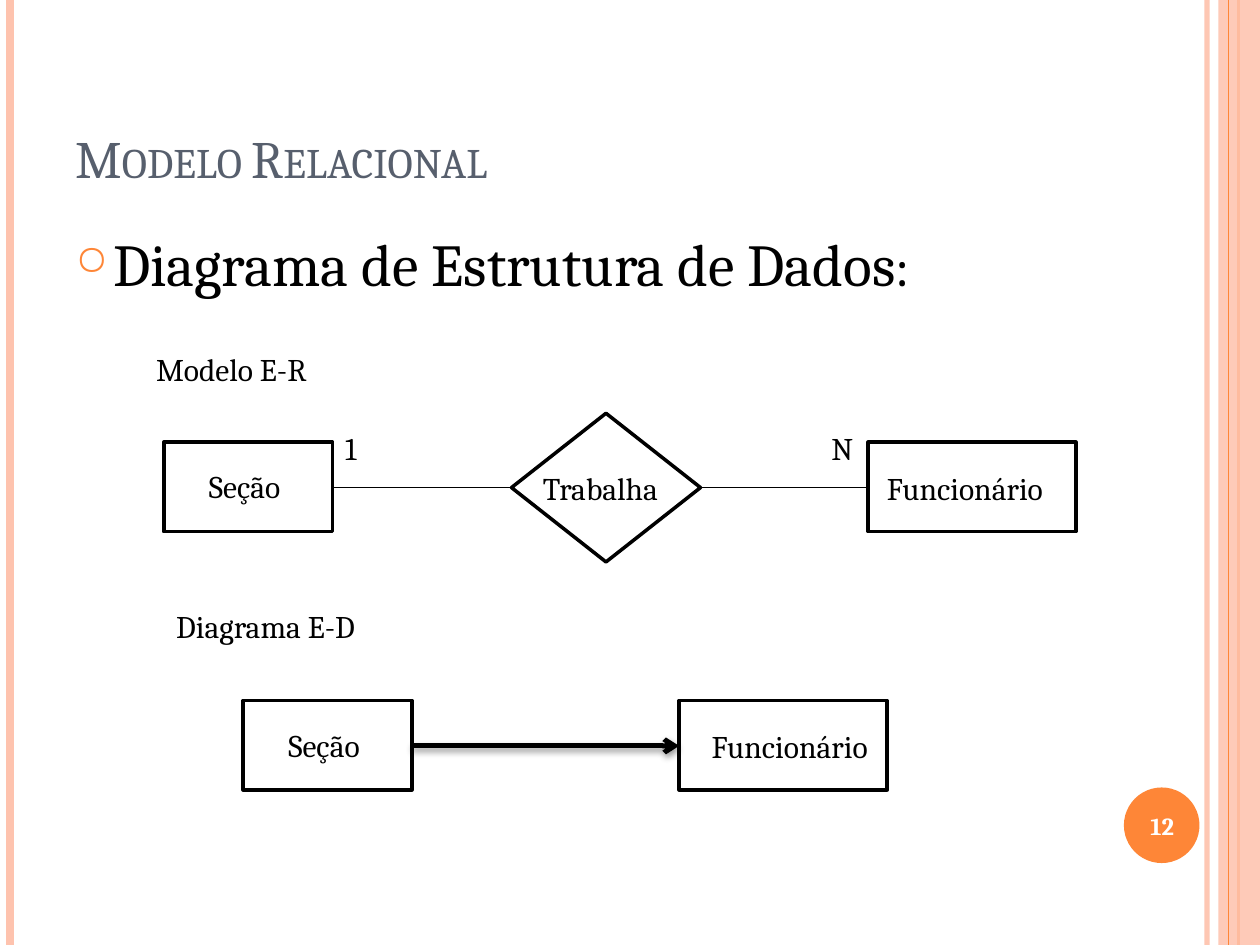
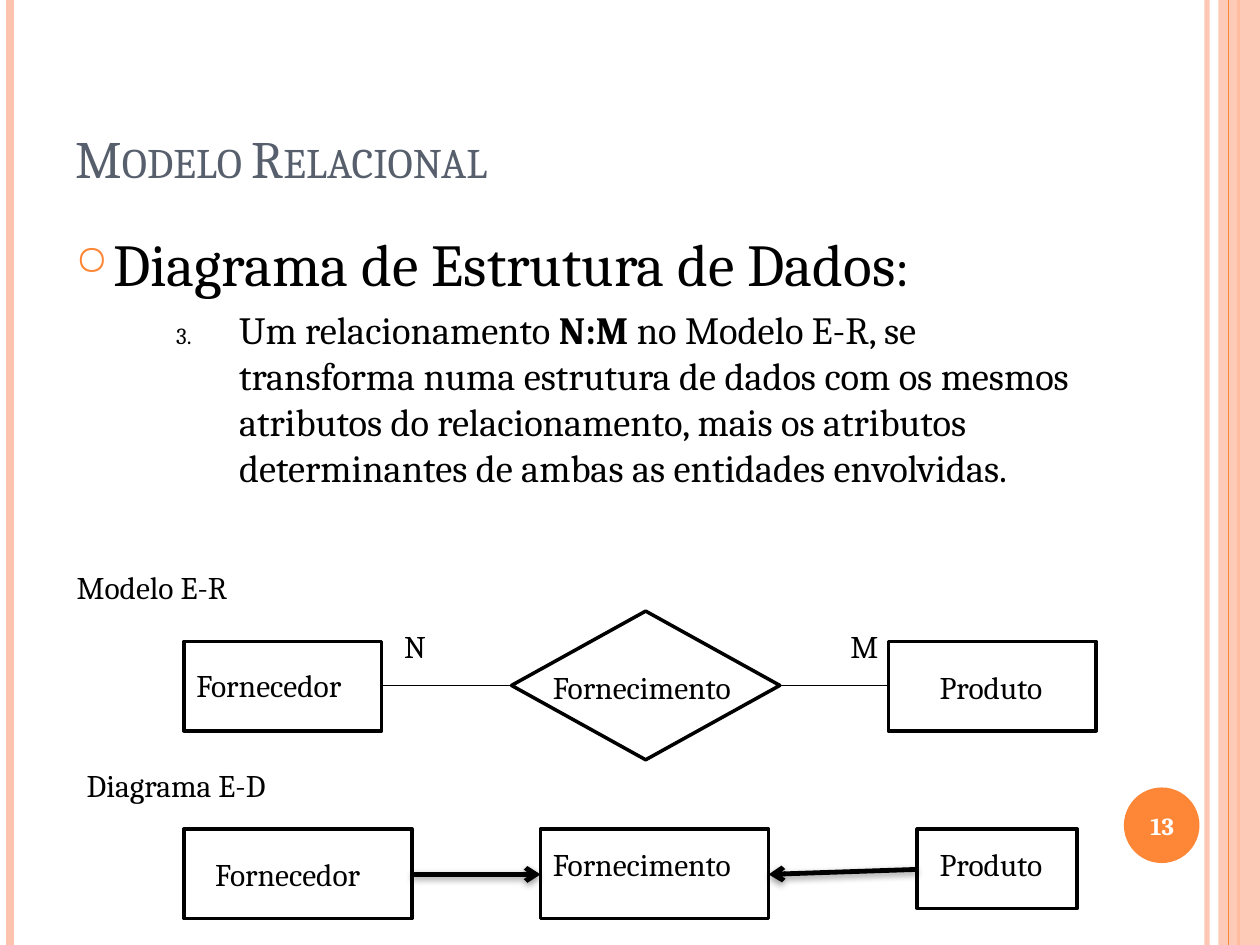
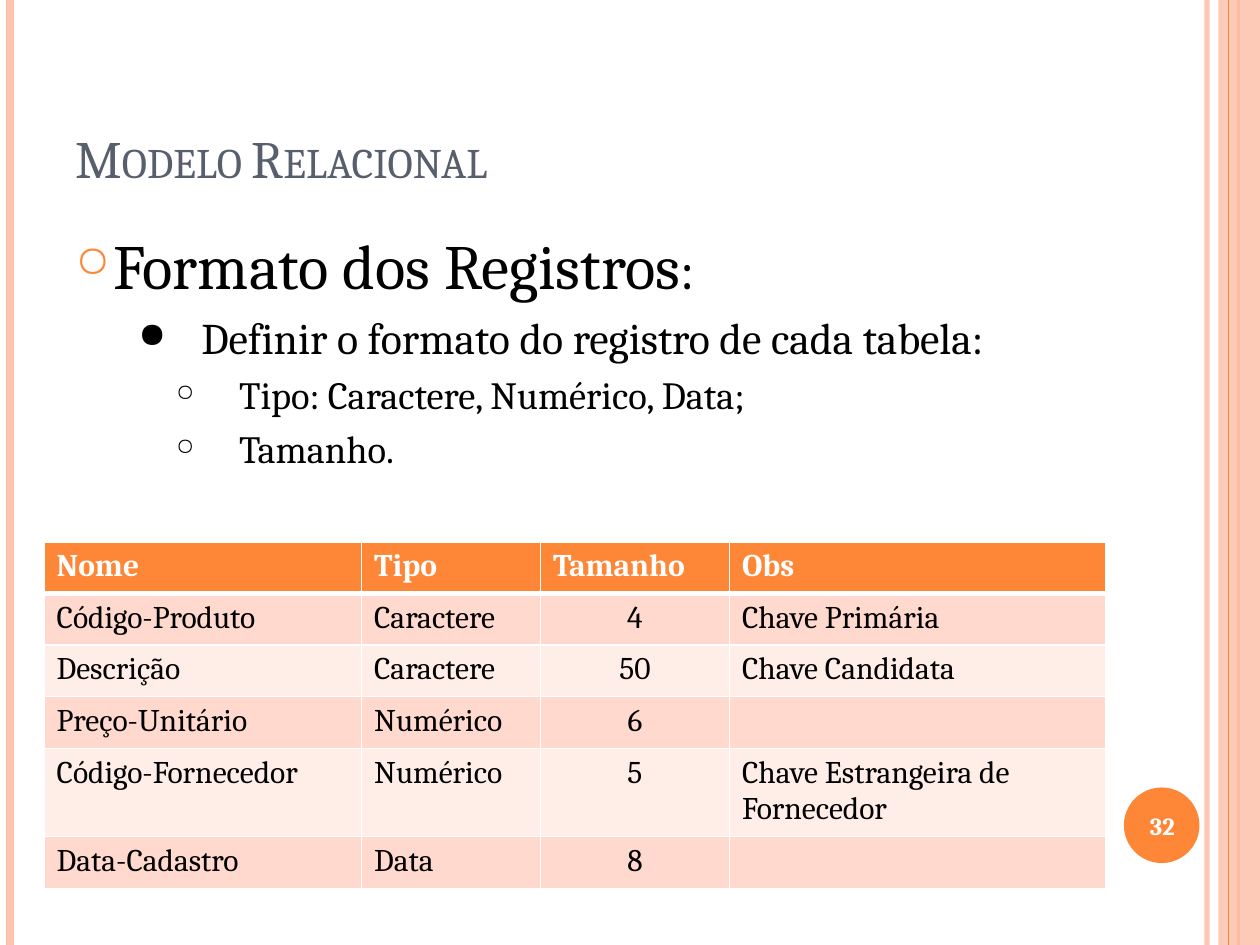
from lxml import etree
from pptx import Presentation
from pptx.dml.color import RGBColor
from pptx.enum.shapes import MSO_CONNECTOR, MSO_SHAPE
from pptx.enum.text import MSO_ANCHOR, MSO_AUTO_SIZE, PP_ALIGN
from pptx.oxml import parse_xml
from pptx.oxml.ns import nsdecls, qn
from pptx.util import Inches, Pt

RECT, DIAMOND, OVAL = MSO_SHAPE.RECTANGLE, MSO_SHAPE.DIAMOND, MSO_SHAPE.OVAL
STRAIGHT = MSO_CONNECTOR.STRAIGHT
CENTER, MIDDLE, BOTTOM = PP_ALIGN.CENTER, MSO_ANCHOR.MIDDLE, MSO_ANCHOR.BOTTOM
GROW = MSO_AUTO_SIZE.SHAPE_TO_FIT_TEXT

FONT = "Cambria"
COLORS = {
    "orange": "FE8637", "peach": "FEC3AE", "slate": "575F6D",
    "black": "000000", "white": "FFFFFF", "band_dark": "FFD9CE", "band_light": "FFEDE8",
}
SHADOW = (f'<a:effectLst {nsdecls("a")}><a:outerShdw blurRad="50800" dist="20320" '
          'dir="5400000" rotWithShape="0"><a:srgbClr val="000000"><a:alpha val="42000"/>'
          '</a:srgbClr></a:outerShdw></a:effectLst>')


def add_text(p, text, size=18, color="black", bold=False, small_caps=False):
    r = p.add_run()
    r.text = text
    r.font.name, r.font.size, r.font.bold = FONT, Pt(size), bold
    r.font.color.rgb = RGBColor.from_string(COLORS[color])
    if small_caps:
        r.font._element.set("cap", "small") if hasattr(r.font, "_element") else r._r.get_or_add_rPr().set("cap", "small")


def add_line(s, x1, y1, x2, y2, width=1, color="black", arrow=False):
    line = s.shapes.add_connector(STRAIGHT, Inches(x1), Inches(y1), Inches(x2), Inches(y2))
    line.line.width = Pt(width)
    line.line.color.rgb = RGBColor.from_string(COLORS[color])
    sp_pr = line.element.spPr
    if arrow:
        etree.SubElement(sp_pr.find(qn("a:ln")), qn("a:tailEnd"), type="arrow")
        sp_pr.append(parse_xml(SHADOW))
    else:
        etree.SubElement(sp_pr, qn("a:effectLst"))
    return line


# Bullet styles: left margin, hanging indent, space before, size %, colour, tag, attributes
BULLETS = {
    "topic": (0.3, 0.3, 6, 70, "orange", "a:buChar", {"char": "○"}),
    "dot": (1, 0.5, 5, 80, "black", "a:buChar", {"char": "●"}),
    "ring": (1.3, 0.5, 4.4, 60, "black", "a:buChar", {"char": "○"}),
    "number": (1.3, 0.5, 4.4, 60, "black", "a:buAutoNum", {"type": "arabicPeriod", "startAt": "3"}),
}

# Slide content: body (bullet, runs), outlines (shape, x, y, w, h),
# lines (x1, y1, x2, y2), labels (text, x, y, w)
DIAGRAM_TOPIC = ("topic", [("Diagrama de Estrutura de Dados", 34, False), (":", 31, False)])
SLIDES = [
    {
        "number": "12",
        "body": [DIAGRAM_TOPIC],
        "outlines": [
            (RECT, 1.3, 3.51, 1.34, 0.71), (DIAMOND, 4.06, 3.28, 1.5, 1.18),
            (RECT, 6.89, 3.51, 1.65, 0.71),
            (RECT, 1.93, 5.56, 1.34, 0.71), (RECT, 5.39, 5.56, 1.65, 0.71),
        ],
        "lines": [(2.64, 3.87, 4.06, 3.87), (5.55, 3.87, 6.89, 3.87)],
        "arrows": [(3.27, 5.92, 5.39, 5.92)],
        "labels": [
            ("Modelo E-R", 1.14, 2.73, 1.53), ("Seção", 1.56, 3.66, 0.92),
            ("1", 2.64, 3.36, 0.34), ("Trabalha", 4.21, 3.67, 1.19),
            ("N", 6.5, 3.36, 0.38), ("Funcionário", 6.94, 3.67, 1.52),
            ("Diagrama E-D", 1.3, 4.77, 1.8), ("Seção", 2.19, 5.71, 0.92),
            ("Funcionário", 5.55, 5.72, 1.52),
        ],
    },
    {
        "number": "13",
        "body": [
            DIAGRAM_TOPIC,
            ("number", [
                ("Um relacionamento ", 22, False), ("N:M", 22, True),
                (" no Modelo E-R, se transforma numa estrutura de dados com os mesmos "
                 "atributos do relacionamento, mais os atributos determinantes de ambas "
                 "as entidades envolvidas.", 22, False),
            ]),
        ],
        "outlines": [
            (RECT, 1.46, 5.09, 1.57, 0.71), (DIAMOND, 4.06, 4.85, 2.13, 1.18),
            (RECT, 7.05, 5.09, 1.65, 0.71),
            (RECT, 1.46, 6.58, 1.81, 0.71), (RECT, 4.29, 6.58, 1.81, 0.71),
            (RECT, 7.28, 6.58, 1.27, 0.63),
        ],
        "lines": [(3.03, 5.44, 4.06, 5.44), (6.18, 5.44, 7.05, 5.44)],
        "arrows": [(3.27, 6.94, 4.29, 6.94), (7.28, 6.9, 6.1, 6.94)],
        "labels": [
            ("Modelo E-R", 0.51, 4.46, 1.53), ("Fornecedor", 1.46, 5.24, 1.49),
            ("N", 3.11, 4.93, 0.38), ("Fornecimento", 4.29, 5.25, 1.74),
            ("M", 6.65, 4.93, 0.41), ("Produto", 7.36, 5.25, 1.09),
            ("Diagrama E-D", 0.59, 6.03, 1.8), ("Fornecedor", 1.61, 6.74, 1.49),
            ("Fornecimento", 4.29, 6.66, 1.74), ("Produto", 7.36, 6.66, 1.09),
        ],
    },
    {
        "number": "32",
        "body": [
            ("topic", [("Formato dos Registros", 36, False), (":", 31, False)]),
            ("dot", [("Definir o formato do registro de cada tabela:", 25, False)]),
            ("ring", [("Tipo: Caractere, Numérico, Data;", 22, False)]),
            ("ring", [("Tamanho.", 22, False)]),
        ],
        "outlines": [], "lines": [], "arrows": [], "labels": [],
    },
]

prs = Presentation()
prs.slide_width, prs.slide_height = Inches(10), Inches(7.5)

for content in SLIDES:
    s = prs.slides.add_slide(prs.slide_layouts[6])

    # Side bands and number disc
    edge = add_line(s, 9.58, 0, 9.58, 7.5, 3, "peach")
    add_line(s, 0.08, 0, 0.08, 7.5, 4.5, "peach")
    add_line(s, 9.83, 0, 9.83, 7.5, 1.5, "orange")
    for shape, x, y, w, h, color in [(RECT, 9.67, 0, 0.33, 7.5, "peach"),
                                     (OVAL, 8.92, 6.25, 0.6, 0.6, "orange")]:
        sp = s.shapes.add_shape(shape, Inches(x), Inches(y), Inches(w), Inches(h))
        sp.shadow.inherit = False
        sp.fill.solid()
        sp.fill.fore_color.rgb = RGBColor.from_string(COLORS[color])
        sp.line.fill.background()
        if shape == RECT:
            band = sp
    add_line(s, 9.75, 0, 9.75, 7.5, 0.75, "orange")
    for sp, alpha in [(edge, "93000"), (band, "87000")]:
        etree.SubElement(next(sp.element.spPr.iter(qn("a:srgbClr"))), qn("a:alpha"), val=alpha)

    # Body, title and slide number frames
    frames = []
    for x, y, w, h in [(0.5, 1.75, 8.17, 4.76), (0.5, 0.3, 8.17, 1.25), (8.89, 6.27, 0.67, 0.57)]:
        tf = s.shapes.add_textbox(Inches(x), Inches(y), Inches(w), Inches(h)).text_frame
        tf.word_wrap = True
        frames.append(tf)
    body, title, number = frames
    title.vertical_anchor, number.vertical_anchor = BOTTOM, MIDDLE
    add_text(title.paragraphs[0], "Modelo Relacional", size=30, color="slate", small_caps=True)
    number.paragraphs[0].alignment = CENTER
    add_text(number.paragraphs[0], content["number"], size=14, color="white", bold=True)

    # Bulleted body
    for i, (bullet, runs) in enumerate(content["body"]):
        p = body.add_paragraph() if i else body.paragraphs[0]
        margin, hang, before, percent, color, tag, attrs = BULLETS[bullet]
        p.space_before = Pt(before)
        p_pr = p._p.get_or_add_pPr()
        p_pr.set("marL", str(Inches(margin)))
        p_pr.set("indent", str(-Inches(hang)))
        bu_clr = etree.SubElement(p_pr, qn("a:buClr"))
        etree.SubElement(bu_clr, qn("a:srgbClr"), val=COLORS[color])
        etree.SubElement(p_pr, qn("a:buSzPct"), val=str(percent * 1000))
        etree.SubElement(p_pr, qn(tag), attrs)
        for text, size, bold in runs:
            add_text(p, text, size=size, bold=bold)

    # Entity diagrams
    for shape, x, y, w, h in content["outlines"]:
        sp = s.shapes.add_shape(shape, Inches(x), Inches(y), Inches(w), Inches(h))
        sp.shadow.inherit = False
        sp.fill.background()
        sp.line.width = Pt(2)
        sp.line.color.rgb = RGBColor.from_string(COLORS["black"])
    for ends in content["lines"]:
        add_line(s, *ends)
    for ends in content["arrows"]:
        add_line(s, *ends, width=2.75, arrow=True)
    for text, x, y, w in content["labels"]:
        tf = s.shapes.add_textbox(Inches(x), Inches(y), Inches(w), Inches(0.4)).text_frame
        tf.word_wrap = False
        tf.auto_size = GROW
        add_text(tf.paragraphs[0], text)

# Record format table on the last slide
ROWS = [
    ("Nome", "Tipo", "Tamanho", "Obs"),
    ("Código-Produto", "Caractere", "4", "Chave Primária"),
    ("Descrição", "Caractere", "50", "Chave Candidata"),
    ("Preço-Unitário", "Numérico", "6", ""),
    ("Código-Fornecedor", "Numérico", "5", "Chave Estrangeira de Fornecedor"),
    ("Data-Cadastro", "Data", "8", ""),
]
WIDTHS = [2.52, 1.42, 1.5, 2.99]
table = s.shapes.add_table(len(ROWS), len(WIDTHS), Inches(0.35), Inches(4.3),
                           Inches(sum(WIDTHS)), Inches(0.41 * len(ROWS))).table
for col, width in zip(table.columns, WIDTHS):
    col.width = Inches(width)
for i, row in enumerate(ROWS):
    table.rows[i].height = Inches(0.41)
    fill = "orange" if i == 0 else "band_dark" if i % 2 else "band_light"
    for j, text in enumerate(row):
        cell = table.cell(i, j)
        tc_pr = cell._tc.get_or_add_tcPr()
        for side in ("L", "R", "T", "B"):
            thick = (i, side) in [(0, "B"), (1, "T")]
            ln = etree.SubElement(tc_pr, qn(f"a:ln{side}"), w=str(Pt(3 if thick else 1)))
            etree.SubElement(etree.SubElement(ln, qn("a:solidFill")), qn("a:srgbClr"),
                             val=COLORS["white"])
        cell.fill.solid()
        cell.fill.fore_color.rgb = RGBColor.from_string(COLORS[fill])
        p = cell.text_frame.paragraphs[0]
        p.font.size = Pt(18)
        if i and j == 2:
            p.alignment = CENTER
        if text:
            add_text(p, text, color="black" if i else "white", bold=i == 0)

prs.save("out.pptx")
